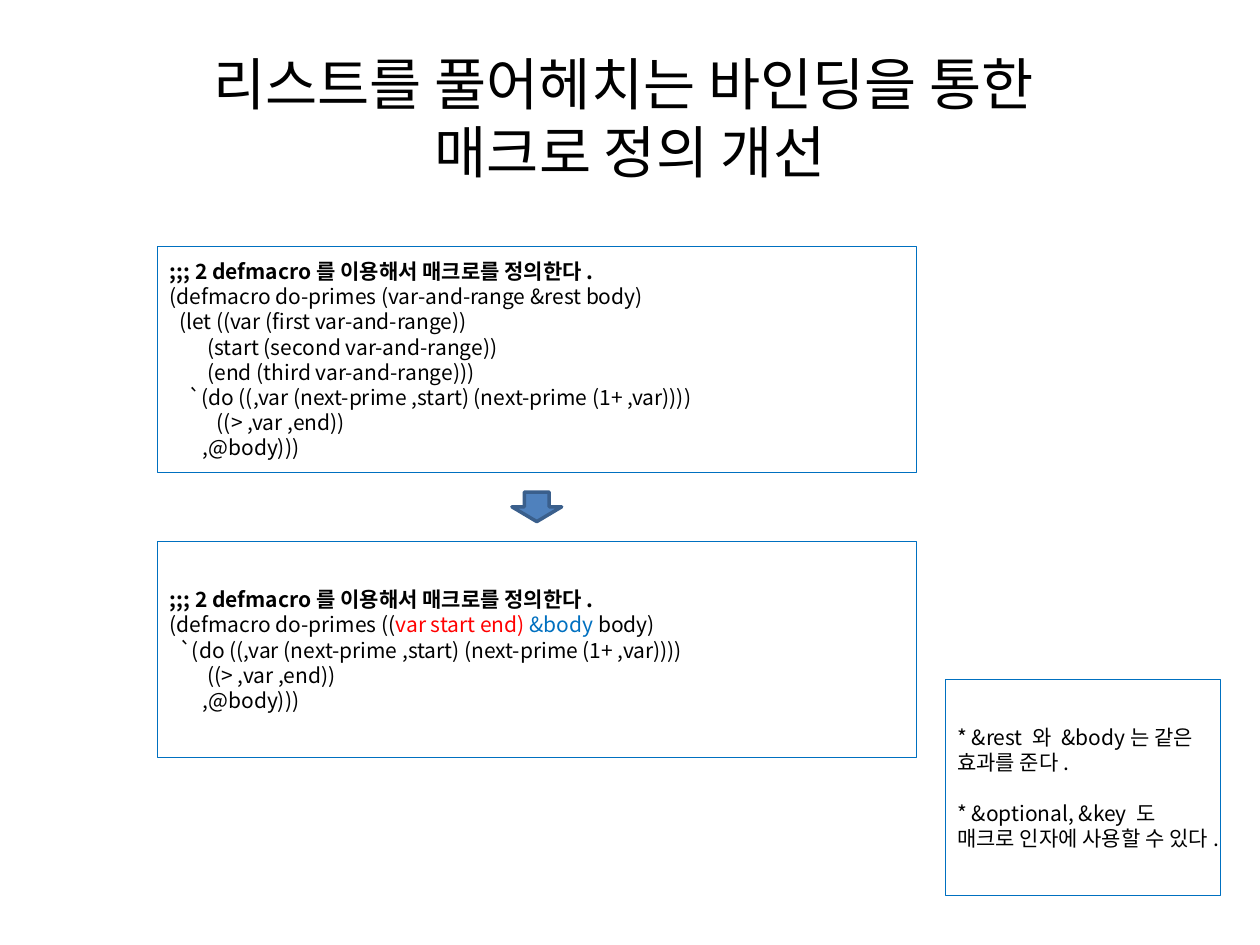
from lxml import etree
from pptx import Presentation
from pptx.dml.color import RGBColor
from pptx.enum.shapes import MSO_SHAPE
from pptx.enum.text import MSO_ANCHOR, PP_ALIGN
from pptx.oxml.ns import qn
from pptx.util import Pt

RECTANGLE, DOWN_ARROW = MSO_SHAPE.RECTANGLE, MSO_SHAPE.DOWN_ARROW
MIDDLE = MSO_ANCHOR.MIDDLE
LEFT, CENTER = PP_ALIGN.LEFT, PP_ALIGN.CENTER
FONT = "Noto Sans CJK KR"
BLACK, RED, BLUE = "000000", "FF0000", "0070C0"
ARROW_FILL, ARROW_LINE = "4F81BD", "3A5F8C"
CODE_SIZE, TITLE_SIZE, LINE_FACTOR = 12, 32.4, 1.2
CODE_LEFT, CODE_WIDTH = 90, 433.5

TITLE = "리스트를 풀어헤치는 바인딩을 통한 \v매크로 정의 개선"
HEADING = ";;; 2 defmacro를 이용해서 매크로를 정의한다."
CODE_BEFORE = [
    "(defmacro do-primes (var-and-range &rest body)",
    "  (let ((var (first var-and-range))",
    "        (start (second var-and-range))",
    "        (end (third var-and-range)))",
    "    `(do ((,var (next-prime ,start) (next-prime (1+ ,var))))",
    "          ((> ,var ,end))",
    "       ,@body)))",
]
CODE_AFTER = [
    [("(defmacro do-primes ((", BLACK), ("var start end) ", RED),
     ("&body ", BLUE), ("body)", BLACK)],
    "  `(do ((,var (next-prime ,start) (next-prime (1+ ,var))))",
    "        ((> ,var ,end))",
    "       ,@body)))",
]
NOTES = [
    "* &rest 와 &body는 같은 효과를 준다.",
    "* &optional, &key 도 매크로 인자에 사용할 수 있다.",
]


def color(value):
    """Turn a hex string into a colour."""
    return RGBColor.from_string(value)


def write(para, content, size=CODE_SIZE, bold=False, align=LEFT):
    """Fill a paragraph with plain text or with coloured spans."""
    para.alignment = align
    para.line_spacing = Pt(size * LINE_FACTOR)
    font = para.font
    font.name, font.size, font.bold = FONT, Pt(size), bold
    properties = para._p.pPr.find(qn("a:defRPr"))
    etree.SubElement(properties, qn("a:ea")).set("typeface", FONT)
    if isinstance(content, str):
        font.color.rgb = color(BLACK)
        para.text = content
        return
    for text, shade in content:
        span = para.add_run()
        span.text = text
        span.font.color.rgb = color(shade)


def add_title(page, left, top, width, height):
    """Place the centred title."""
    frame = page.shapes.add_textbox(Pt(left), Pt(top), Pt(width), Pt(height)).text_frame
    frame.word_wrap = True
    frame.vertical_anchor = MIDDLE
    write(frame.paragraphs[0], TITLE, TITLE_SIZE, align=CENTER)


def add_panel(page, left, top, width, height, lines, heading=None, gap=0):
    """Place an outlined box of lines, with an optional bold heading."""
    panel = page.shapes.add_shape(RECTANGLE, Pt(left), Pt(top), Pt(width), Pt(height))
    panel.shadow.inherit = False
    panel.fill.background()
    panel.line.color.rgb = color(BLUE)
    panel.line.width = Pt(0.5)
    frame = panel.text_frame
    frame.word_wrap = True
    frame.vertical_anchor = MIDDLE
    contents = [heading, *lines] if heading else lines
    for index, content in enumerate(contents):
        para = frame.add_paragraph() if index else frame.paragraphs[0]
        if index and gap:
            para.space_before = Pt(gap)
        write(para, content, bold=content == heading)


def add_arrow(page, left, top, width, height):
    """Place the arrow that leads from the old code to the new."""
    arrow = page.shapes.add_shape(DOWN_ARROW, Pt(left), Pt(top), Pt(width), Pt(height))
    arrow.shadow.inherit = False
    arrow.fill.solid()
    arrow.fill.fore_color.rgb = color(ARROW_FILL)
    arrow.line.color.rgb = color(ARROW_LINE)
    arrow.line.width = Pt(2)


def main():
    """Build and save the deck."""
    deck = Presentation()
    deck.slide_width, deck.slide_height = Pt(720), Pt(540)
    page = deck.slides.add_slide(deck.slide_layouts[6])
    add_title(page, 36, 21.6, 648, 90)
    add_panel(page, CODE_LEFT, 140.6, CODE_WIDTH, 129.4, CODE_BEFORE, HEADING)
    add_panel(page, CODE_LEFT, 309.4, CODE_WIDTH, 123.7, CODE_AFTER, HEADING)
    arrow_width = 28.4
    add_arrow(page, CODE_LEFT + (CODE_WIDTH - arrow_width) / 2, 281.2, arrow_width, 16.9)
    add_panel(page, 540, 388.2, 157.5, 123.7, NOTES, gap=CODE_SIZE * LINE_FACTOR)
    deck.save("out.pptx")


if __name__ == "__main__":
    main()
